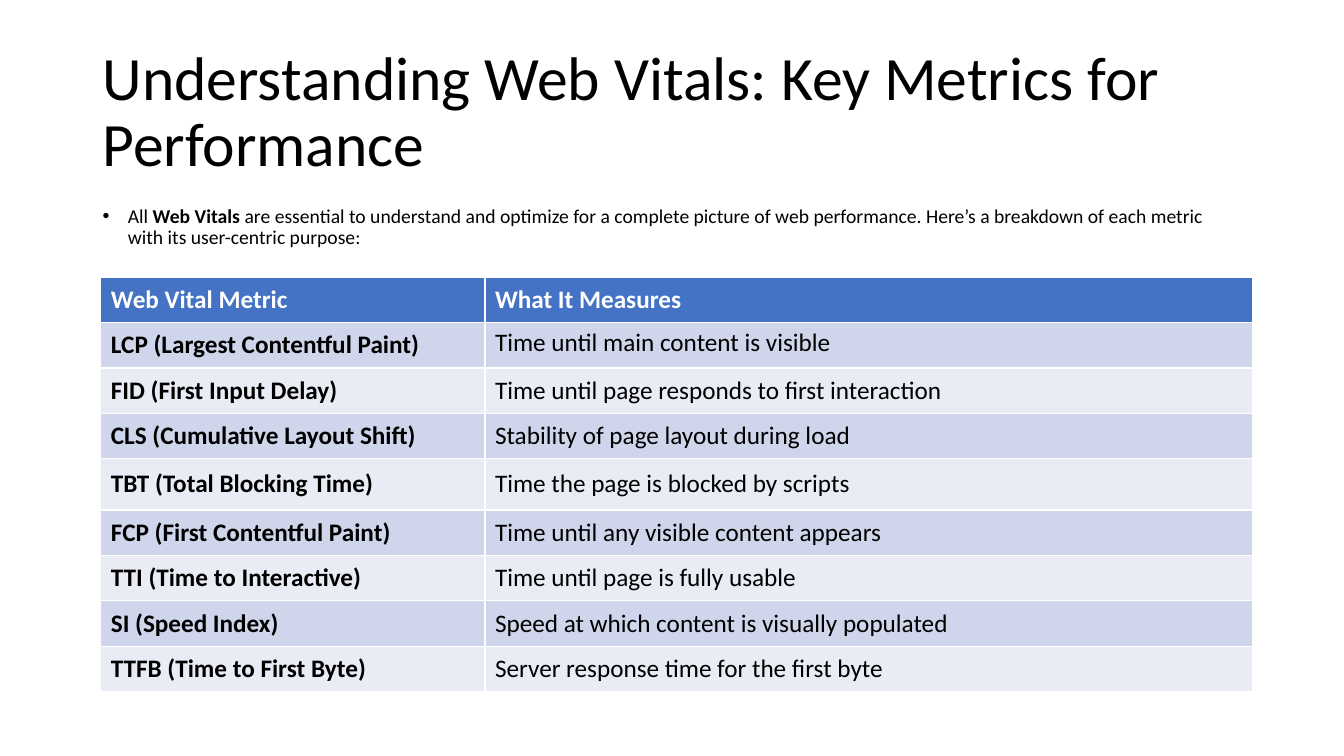
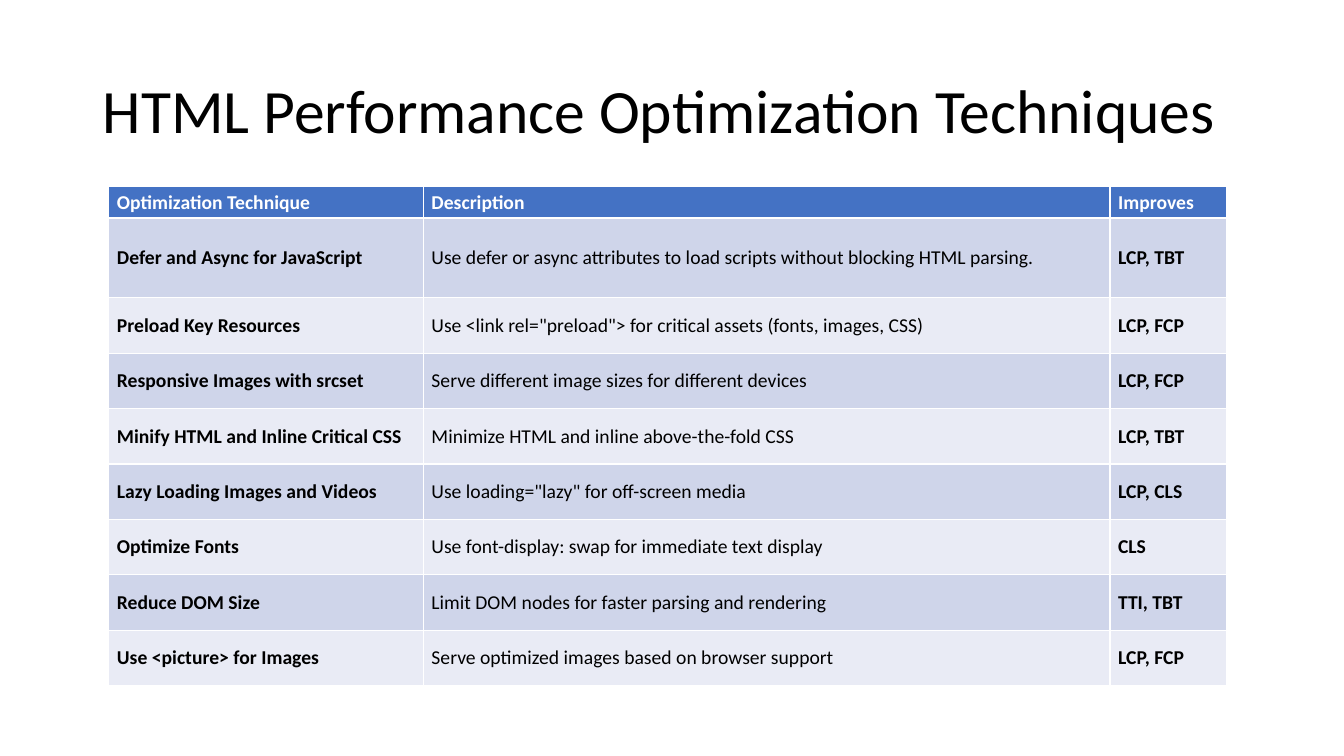
"""Build two slides with tables on web vitals and HTML performance."""
from lxml.etree import SubElement
from pptx import Presentation
from pptx.dml.color import RGBColor
from pptx.enum.text import MSO_ANCHOR
from pptx.oxml.ns import qn
from pptx.util import Inches, Pt

FONT = "Calibri"
BLACK, WHITE = "000000", "FFFFFF"
HEADER, BANDS = "4472C4", ("CFD5EA", "E9EBF5")
TITLE_BOX = (0.92, 0.4, 11.5, 1.45)
INTRO_BOX = (0.92, 2, 11.5, 4.76)


def rgb(value):
    return RGBColor.from_string(value)


def write(tf, text, size=14, color=BLACK, bold=False, anchor=MSO_ANCHOR.MIDDLE, spacing=None):
    """Fill the first paragraph; every second part between ** marks is bold."""
    tf.word_wrap = True
    tf.vertical_anchor = anchor
    p = tf.paragraphs[0]
    p.line_spacing = spacing
    for i, part in enumerate(text.split("**")):
        r = p.add_run()
        r.text = part
        r.font.name = FONT
        r.font.size = Pt(size)
        r.font.bold = bold or i % 2 == 1
        r.font.color.rgb = rgb(color)
    return p


slides = [
    {
        "title": "Understanding Web Vitals: Key Metrics for Performance",
        "intro": "All **Web Vitals** are essential to understand and optimize for a complete picture "
                 "of web performance. Here’s a breakdown of each metric with its user-centric purpose:",
        "at": (1, 2.75),
        "cols": [3.81, 7.61],
        "heights": [0.45] * 4 + [0.51] + [0.45] * 4,
        "size": 18,
        "margins": (0.1, 0.05),
        "top_cells": [(1, 1)],
        "rows": [
            ("Web Vital Metric", "What It Measures"),
            ("LCP (Largest Contentful Paint)", "Time until main content is visible"),
            ("FID (First Input Delay)", "Time until page responds to first interaction"),
            ("CLS (Cumulative Layout Shift)", "Stability of page layout during load"),
            ("TBT (Total Blocking Time)", "Time the page is blocked by scripts"),
            ("FCP (First Contentful Paint)", "Time until any visible content appears"),
            ("TTI (Time to Interactive)", "Time until page is fully usable"),
            ("SI (Speed Index)", "Speed at which content is visually populated"),
            ("TTFB (Time to First Byte)", "Server response time for the first byte"),
        ],
    },
    {
        "title": "HTML Performance Optimization Techniques",
        "intro": None,
        "at": (1.08, 1.85),
        "cols": [3.12, 6.81, 1.16],
        "heights": [0.31, 0.79] + [0.55] * 7,
        "size": 14,
        "margins": (0.08, 0.04),
        "top_cells": [],
        "rows": [
            ("Optimization Technique", "Description", "Improves"),
            ("Defer and Async for JavaScript",
             "Use defer or async attributes to load scripts without blocking HTML parsing.", "LCP, TBT"),
            ("Preload Key Resources",
             'Use <link rel="preload"> for critical assets (fonts, images, CSS)', "LCP, FCP"),
            ("Responsive Images with srcset",
             "Serve different image sizes for different devices", "LCP, FCP"),
            ("Minify HTML and Inline Critical CSS",
             "Minimize HTML and inline above-the-fold CSS", "LCP, TBT"),
            ("Lazy Loading Images and Videos", 'Use loading="lazy" for off-screen media', "LCP, CLS"),
            ("Optimize Fonts", "Use font-display: swap for immediate text display", "CLS"),
            ("Reduce DOM Size", "Limit DOM nodes for faster parsing and rendering", "TTI, TBT"),
            ("Use <picture> for Images", "Serve optimized images based on browser support", "LCP, FCP"),
        ],
    },
]

prs = Presentation()
prs.slide_width, prs.slide_height = Inches(13.33), Inches(7.5)

for data in slides:
    s = prs.slides.add_slide(prs.slide_layouts[6])
    sp = s.shapes.add_textbox(*map(Inches, TITLE_BOX))
    write(sp.text_frame, data["title"], size=44, spacing=0.9)

    if data["intro"]:
        sp = s.shapes.add_textbox(*map(Inches, INTRO_BOX))
        p = write(sp.text_frame, data["intro"], anchor=MSO_ANCHOR.TOP, spacing=0.9)
        p.space_before = Pt(10)
        pPr = p._p.get_or_add_pPr()
        pPr.set("marL", str(Inches(0.25)))
        pPr.set("indent", str(-Inches(0.25)))
        SubElement(pPr, qn("a:buFont")).set("typeface", "Arial")
        SubElement(pPr, qn("a:buChar")).set("char", "•")

    cols, heights, rows = data["cols"], data["heights"], data["rows"]
    size = (sum(cols), sum(heights))
    table = s.shapes.add_table(len(rows), len(cols), *map(Inches, data["at"] + size)).table
    for column, width in zip(table.columns, cols):
        column.width = Inches(width)
    for row, height in zip(table.rows, heights):
        row.height = Inches(height)

    side, edge = map(Inches, data["margins"])
    for i, texts in enumerate(rows):
        for j, text in enumerate(texts):
            cell = table.cell(i, j)
            cell.margin_left = cell.margin_right = side
            cell.margin_top = cell.margin_bottom = edge
            cell.fill.solid()
            cell.fill.fore_color.rgb = rgb(BANDS[(i - 1) % 2] if i else HEADER)
            write(cell.text_frame, text, size=data["size"], color=BLACK if i else WHITE,
                  bold=i == 0 or j != 1)
            top = (i, j) in data["top_cells"]
            cell.vertical_anchor = MSO_ANCHOR.TOP if top else MSO_ANCHOR.MIDDLE

prs.save("out.pptx")
